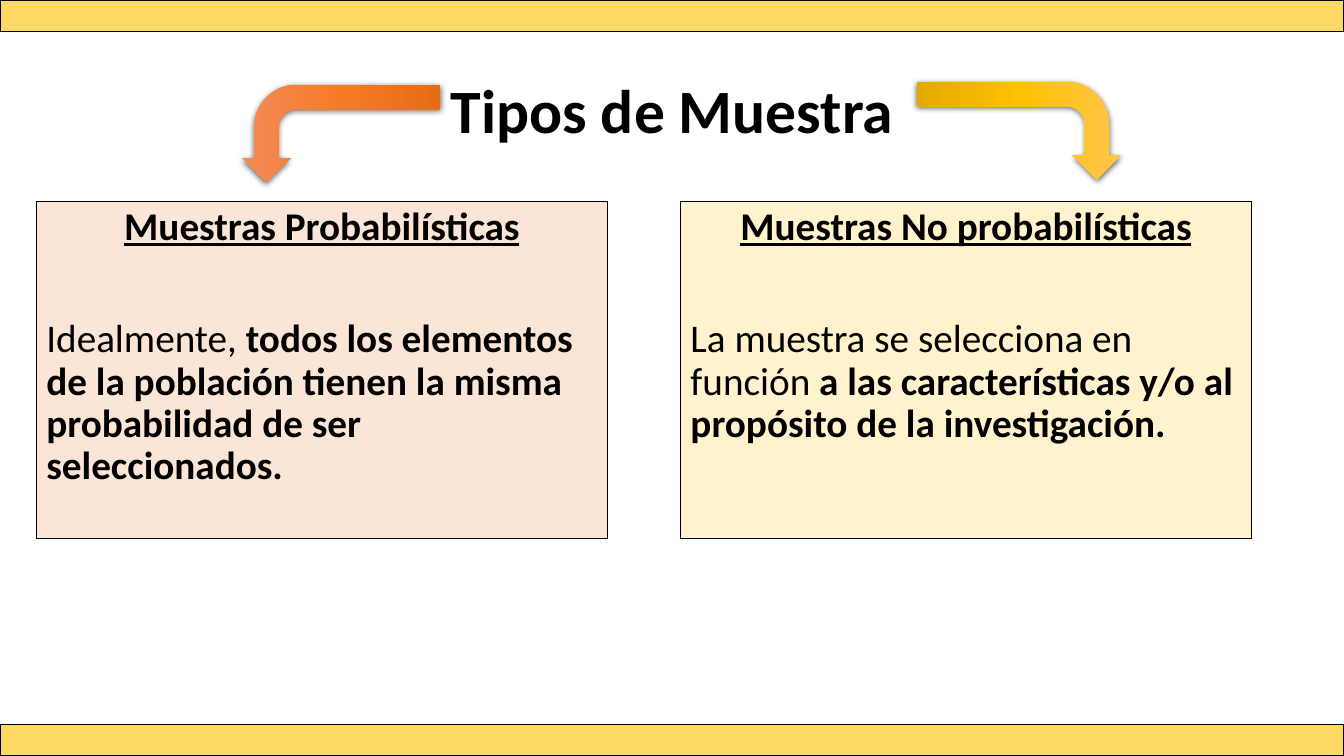
"""Build the slide comparing probability and non-probability samples."""
from copy import deepcopy
from dataclasses import dataclass

from lxml.etree import SubElement
from pptx import Presentation
from pptx.dml.color import RGBColor
from pptx.enum.shapes import MSO_SHAPE
from pptx.enum.text import MSO_ANCHOR, MSO_AUTO_SIZE, PP_ALIGN
from pptx.oxml.ns import qn
from pptx.util import Inches, Pt

COLORS = {
    "ink": "000000",
    "bar": "FFD966",
    "peach": "FBE5D6",
    "cream": "FFF2CC",
}
ORANGE = ("F18C57", "F67B28", "E56C19")
GOLD = ("FFC64B", "FFC000", "E3AB00")
COLUMNS, ROWS = 40, 24

prs = Presentation()
prs.slide_width, prs.slide_height = Inches(13.33), Inches(7.5)


@dataclass(frozen=True)
class Box:
    col: float
    row: float
    cols: float
    rows: float

    def emu(self) -> tuple[int, int, int, int]:
        col, row = prs.slide_width / COLUMNS, prs.slide_height / ROWS
        return (round(self.col * col), round(self.row * row),
                round(self.cols * col), round(self.rows * row))


@dataclass(frozen=True)
class Panel:
    col: float
    fill: str
    heading: str
    lead: str
    emphasis: str


@dataclass(frozen=True)
class Arrow:
    box: Box
    stops: tuple[str, str, str]
    flipped: bool


PANELS = (
    Panel(1.08, "peach", "Muestras Probabilísticas", "Idealmente, ",
          "todos los elementos de la población tienen la misma "
          "probabilidad de ser seleccionados."),
    Panel(20.25, "cream", "Muestras No probabilísticas",
          "La muestra se selecciona en función ",
          "a las características y/o al propósito de la investigación."),
)
ARROWS = (
    Arrow(Box(28.87, 0.9, 2.91, 6.5), GOLD, False),
    Arrow(Box(8.7, 1.09, 2.91, 6.3), ORANGE, True),
)


def rgb(name: str) -> RGBColor:
    return RGBColor.from_string(COLORS[name])


def place(sp, box: Box) -> None:
    sp.left, sp.top, sp.width, sp.height = box.emu()


def paint(sp, fill: str, line_width: float) -> None:
    sp.fill.solid()
    sp.fill.fore_color.rgb = rgb(fill)
    sp.line.color.rgb = rgb("ink")
    sp.line.width = Pt(line_width)


def style(p, size: int, align: PP_ALIGN) -> None:
    p.alignment = align
    p.line_spacing = 0.9
    p.font.name = "Calibri"
    p.font.size = Pt(size)
    p.font.color.rgb = rgb("ink")


def remove_bullet(p) -> None:
    props = p._p.get_or_add_pPr()
    props.set("marL", "0")
    props.set("indent", "0")
    SubElement(props, qn("a:buNone"))


def fill_title(sp) -> None:
    place(sp, Box(2.76, 1.28, 34.5, 4.64))
    tf = sp.text_frame
    tf.auto_size = MSO_AUTO_SIZE.NONE
    tf.vertical_anchor = MSO_ANCHOR.MIDDLE
    p = tf.paragraphs[0]
    p.text = "Tipos de Muestra"
    style(p, 44, PP_ALIGN.CENTER)
    p.font.bold = True


def fill_panel(sp, panel: Panel) -> None:
    place(sp, Box(panel.col, 6.4, 17, 10.69))
    paint(sp, panel.fill, 0.75)
    tf = sp.text_frame
    tf.auto_size = MSO_AUTO_SIZE.NONE
    tf.vertical_anchor = MSO_ANCHOR.TOP
    heading, body = tf.paragraphs[0], tf.add_paragraph()
    for p, align in ((heading, PP_ALIGN.CENTER), (body, PP_ALIGN.LEFT)):
        remove_bullet(p)
        style(p, 28, align)
    heading.text = panel.heading
    heading.space_before = Pt(0)
    heading.font.bold = heading.font.underline = True
    body.space_before = Pt(50)
    for text, bold in ((panel.lead, False), (panel.emphasis, True)):
        r = body.add_run()
        r.text = text
        r.font.bold = bold


def add_bar(s, row: int) -> None:
    sp = s.shapes.add_shape(MSO_SHAPE.RECTANGLE, *Box(0, row, COLUMNS, 1).emu())
    sp.shadow.inherit = False
    paint(sp, "bar", 1)


def add_gradient(sp, colors: tuple[str, str, str]) -> None:
    sp.fill.gradient()
    sp.fill.gradient_angle = 270
    first = sp.element.spPr.find(".//" + qn("a:gs"))
    first.addnext(deepcopy(first))
    for i, (stop, color) in enumerate(zip(sp.fill.gradient_stops, colors)):
        stop.position = i / 2
        stop.color.rgb = RGBColor.from_string(color)


def add_shadow(sp) -> None:
    sp.shadow.inherit = False
    effects = sp.element.spPr.find(qn("a:effectLst"))
    shadow = SubElement(effects, qn("a:outerShdw"), blurRad=str(Pt(4.5)),
                        dist=str(Pt(1.5)), dir="5400000", rotWithShape="0")
    color = SubElement(shadow, qn("a:srgbClr"), val=COLORS["ink"])
    SubElement(color, qn("a:alpha"), val="63000")


def add_arrow(s, arrow: Arrow) -> None:
    sp = s.shapes.add_shape(MSO_SHAPE.BENT_ARROW, *arrow.box.emu())
    sp.rotation = 90
    if arrow.flipped:
        sp.element.spPr.find(qn("a:xfrm")).set("flipV", "1")
    add_gradient(sp, arrow.stops)
    sp.line.fill.background()
    add_shadow(sp)


def main() -> None:
    s = prs.slides.add_slide(prs.slide_layouts.get_by_name("Two Content"))
    fill_title(s.shapes.title)
    for idx, panel in enumerate(PANELS, start=1):
        fill_panel(s.placeholders[idx], panel)
    for row in (0, ROWS - 1):
        add_bar(s, row)
    for arrow in ARROWS:
        add_arrow(s, arrow)
    prs.save("out.pptx")


if __name__ == "__main__":
    main()
